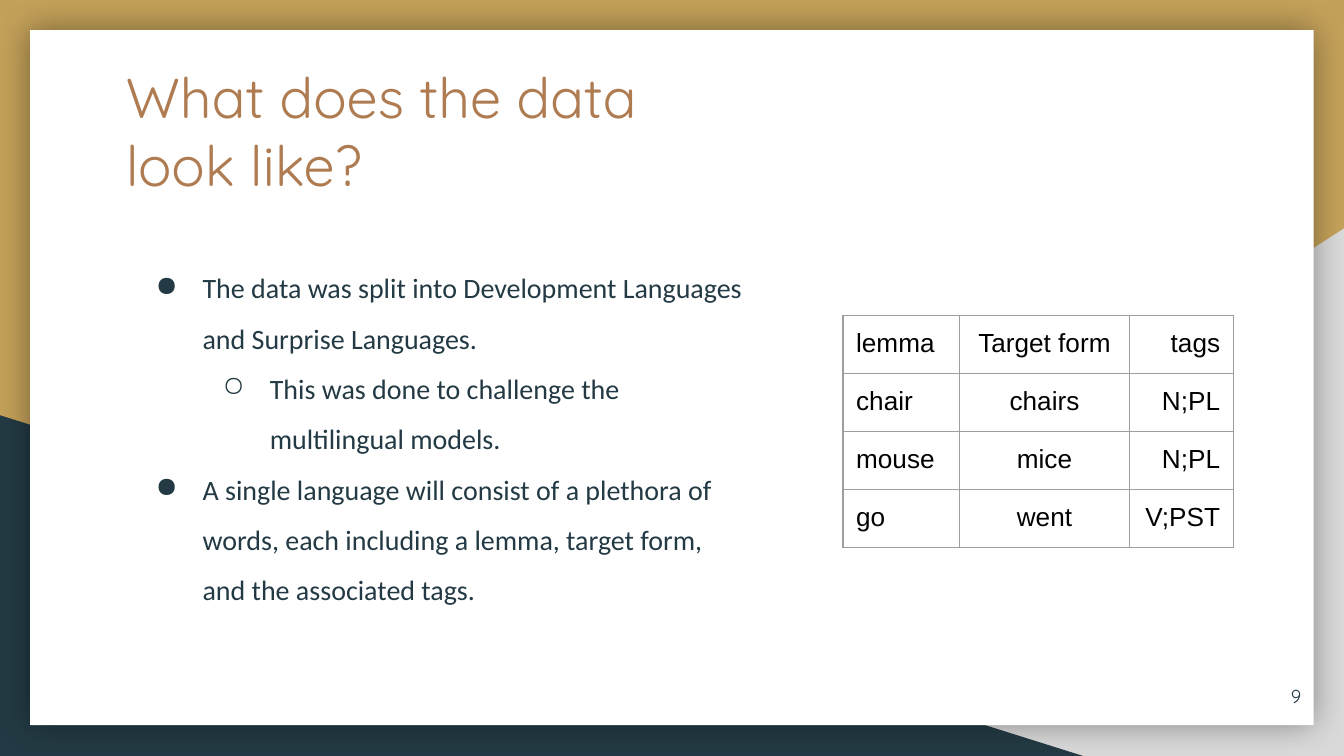
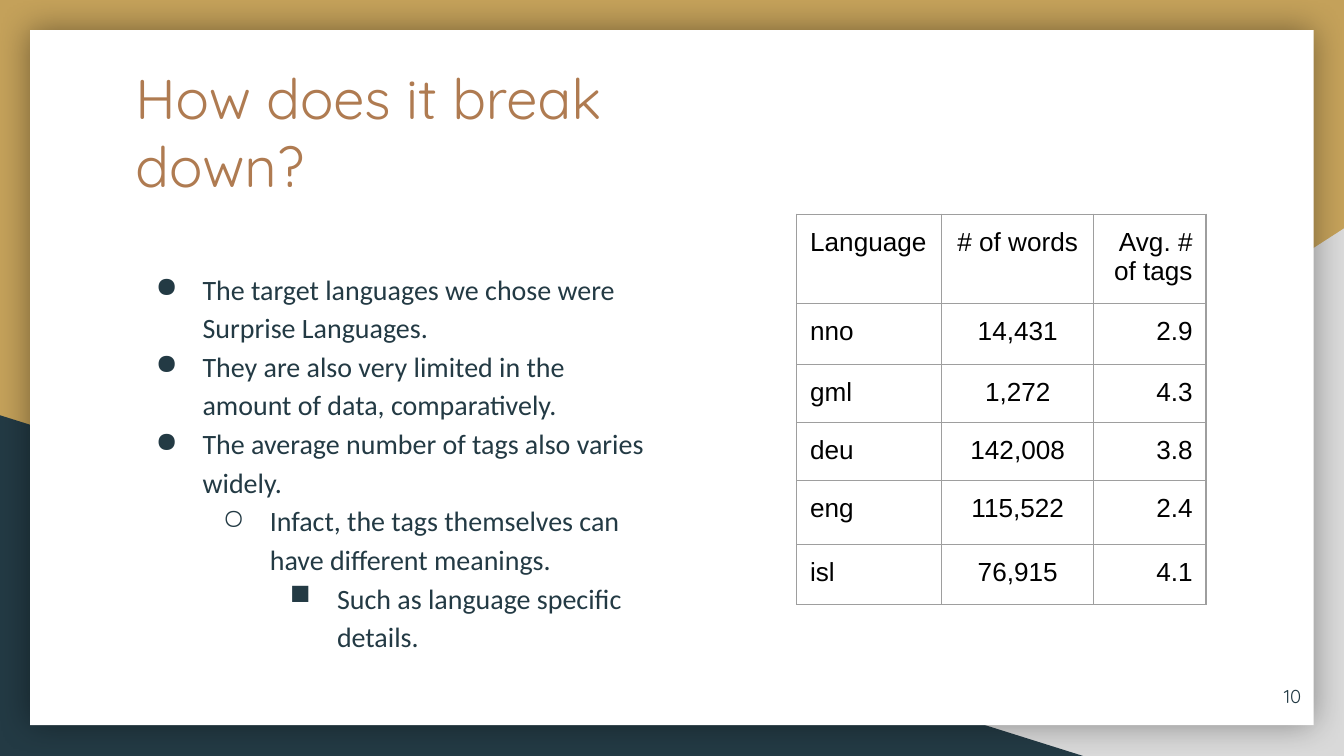
from lxml import etree
from pptx import Presentation
from pptx.dml.color import RGBColor
from pptx.enum.shapes import MSO_SHAPE
from pptx.enum.text import MSO_ANCHOR, PP_ALIGN
from pptx.oxml.ns import qn
from pptx.util import Cm, Pt

TRIANGLE, RECTANGLE = MSO_SHAPE.RIGHT_TRIANGLE, MSO_SHAPE.RECTANGLE
LEFT, CENTER, RIGHT = PP_ALIGN.LEFT, PP_ALIGN.CENTER, PP_ALIGN.RIGHT
TOP, MIDDLE = MSO_ANCHOR.TOP, MSO_ANCHOR.MIDDLE

COLORS = {
    "gold": "C4A15A", "gray": "D9D9D9", "navy": "233A44", "white": "FFFFFF",
    "copper": "AF7B51", "black": "000000", "border": "9E9E9E",
}
FORMATS = {
    "title": {"name": "Quicksand", "size": Pt(30), "color": "copper"},
    "body": {"name": "Calibri", "size": Pt(15), "color": "navy"},
    "number": {"name": "Quicksand", "size": Pt(10), "color": "navy"},
    "cell": {"name": "Arial", "size": Pt(14), "color": "black"},
}
BULLETS = "●○■"
INDENT, HANGING = Cm(1.27), Cm(0.89)
MARGINS = {f"margin_{side}": Cm(0.25) for side in ("left", "top", "right", "bottom")}
COLUMN_ALIGNMENTS = (LEFT, CENTER, RIGHT)


def rgb(color):
    return RGBColor.from_string(COLORS[color])


def set_all(target, values):
    for name, value in values.items():
        setattr(target, name, value)


def add_xml(parent, tag, **attributes):
    values = {name: str(value) for name, value in attributes.items()}
    return etree.SubElement(parent, qn(tag), values)


def add_color(parent, color):
    return add_xml(parent, "a:srgbClr", val=COLORS[color])


class SlideBuilder:
    """Holds the deck, its style and the slide being filled."""

    def __init__(self):
        self.deck = Presentation()
        self.deck.slide_width, self.deck.slide_height = Cm(25.4), Cm(14.29)
        self.slide = None

    def start_slide(self, number):
        self.slide = self.deck.slides.add_slide(self.deck.slide_layouts[6])
        background = self.slide.background.fill
        background.solid()
        background.fore_color.rgb = rgb("gold")
        gray_corner = self.shape(TRIANGLE, "gray", 9.96, 4.32, 15.44, 9.97)
        gray_corner._element.spPr.find(qn("a:xfrm")).set("flipH", "1")
        self.shape(TRIANGLE, "navy", 0, 7.85, 20.47, 6.44)
        self.glow(self.shape(RECTANGLE, "white", 0.57, 0.57, 24.26, 13.14))
        self.text(str(number), "number", 23.32, 12.62, 1.52, 1.09, RIGHT, MIDDLE)

    def shape(self, kind, color, left, top, width, height):
        shape = self.slide.shapes.add_shape(
            kind, Cm(left), Cm(top), Cm(width), Cm(height))
        shape.fill.solid()
        shape.fill.fore_color.rgb = rgb(color)
        shape.line.fill.background()
        shape.shadow.inherit = False
        return shape

    def glow(self, shape):
        """Give the shape a soft shadow on every side."""
        effects = shape._element.spPr.find(qn("a:effectLst"))
        shadow = add_xml(effects, "a:outerShdw", blurRad=Pt(18), dist=0,
                         algn="ctr", rotWithShape=0)
        add_xml(add_color(shadow, "black"), "a:alpha", val=40000)

    def frame(self, left, top, width, height, anchor=TOP):
        box = self.slide.shapes.add_textbox(
            Cm(left), Cm(top), Cm(width), Cm(height))
        set_all(box.text_frame,
                {**MARGINS, "word_wrap": True, "vertical_anchor": anchor})
        return box.text_frame

    def span(self, para, text, style, alignment=LEFT):
        para.alignment = alignment
        span = para.add_run()
        span.text = text
        values = dict(FORMATS[style])
        span.font.color.rgb = rgb(values.pop("color"))
        set_all(span.font, values)

    def text(self, text, style, left, top, width, height,
             alignment=LEFT, anchor=TOP):
        frame = self.frame(left, top, width, height, anchor)
        self.span(frame.paragraphs[0], text, style, alignment)

    def title(self, text, left, top):
        self.text(text, "title", left, top, 10.31, 3.84)

    def bullets(self, items, spacing, top, width, height):
        """Fill a box with (level, text) items as a nested list."""
        frame = self.frame(2.31, top, width, height)
        for index, (level, text) in enumerate(items):
            para = frame.add_paragraph() if index else frame.paragraphs[0]
            set_all(para, {"level": level, "line_spacing": spacing})
            self.span(para, text, "body")
            properties = para._p.get_or_add_pPr()
            properties.set("marL", str(INDENT * (level + 1)))
            properties.set("indent", str(-HANGING))
            add_color(add_xml(properties, "a:buClr"), "navy")
            add_xml(properties, "a:buChar", char=BULLETS[level])

    def table(self, rows, left, top, widths, heights):
        table = self.slide.shapes.add_table(
            len(rows), len(widths), Cm(left), Cm(top),
            Cm(sum(widths)), Cm(sum(heights))).table
        set_all(table, {"first_row": False, "horz_banding": False})
        for column, width in zip(table.columns, widths):
            column.width = Cm(width)
        for row, height, texts in zip(table.rows, heights, rows):
            row.height = Cm(height)
            for cell, text, alignment in zip(row.cells, texts, COLUMN_ALIGNMENTS):
                set_all(cell, MARGINS)
                self.span(cell.text_frame.paragraphs[0], text, "cell", alignment)
                self.outline(cell)
                cell.fill.background()

    def outline(self, cell):
        properties = cell._tc.get_or_add_tcPr()
        for side in "LRTB":
            line = add_xml(properties, f"a:ln{side}", w=Pt(0.75))
            add_color(add_xml(line, "a:solidFill"), "border")


def add_data_slide(builder):
    builder.start_slide(9)
    builder.title("What does the data look like?", 2.13, 0.94)
    builder.bullets([
        (0, "The data was split into Development Languages and Surprise Languages."),
        (1, "This was done to challenge the multilingual models."),
        (0, "A single language will consist of a plethora of words, each "
            "including a lemma, target form, and the associated tags."),
    ], 1.5, 4.55, 12.09, 7.19)
    builder.table([
        ("lemma", "Target form", "tags"),
        ("chair", "chairs", "N;PL"),
        ("mouse", "mice", "N;PL"),
        ("go", "went", "V;PST"),
    ], 15.93, 5.97, (2.2, 3.22, 1.96), [1.06] * 4)


def add_breakdown_slide(builder):
    builder.start_slide(10)
    builder.title("How does it break down?", 2.31, 0.96)
    builder.bullets([
        (0, "The target languages we chose were Surprise Languages."),
        (0, "They are also very limited in the amount of data, comparatively."),
        (0, "The average number of tags also varies widely."),
        (1, "Infact, the tags themselves can have different meanings."),
        (2, "Such as language specific details."),
    ], 1.15, 4.8, 10.31, 5.89)
    builder.table([
        ("Language", "# of words", "Avg. # of tags"),
        ("nno", "14,431", "2.9"),
        ("gml", "1,272", "4.3"),
        ("deu", "142,008", "3.8"),
        ("eng", "115,522", "2.4"),
        ("isl", "76,915", "4.1"),
    ], 15.06, 4.05, (2.74, 2.87, 2.12), (1.68, 1.15, 1.1, 1.07, 1.21, 1.14))


def main():
    builder = SlideBuilder()
    add_data_slide(builder)
    add_breakdown_slide(builder)
    builder.deck.save("out.pptx")


if __name__ == "__main__":
    main()
